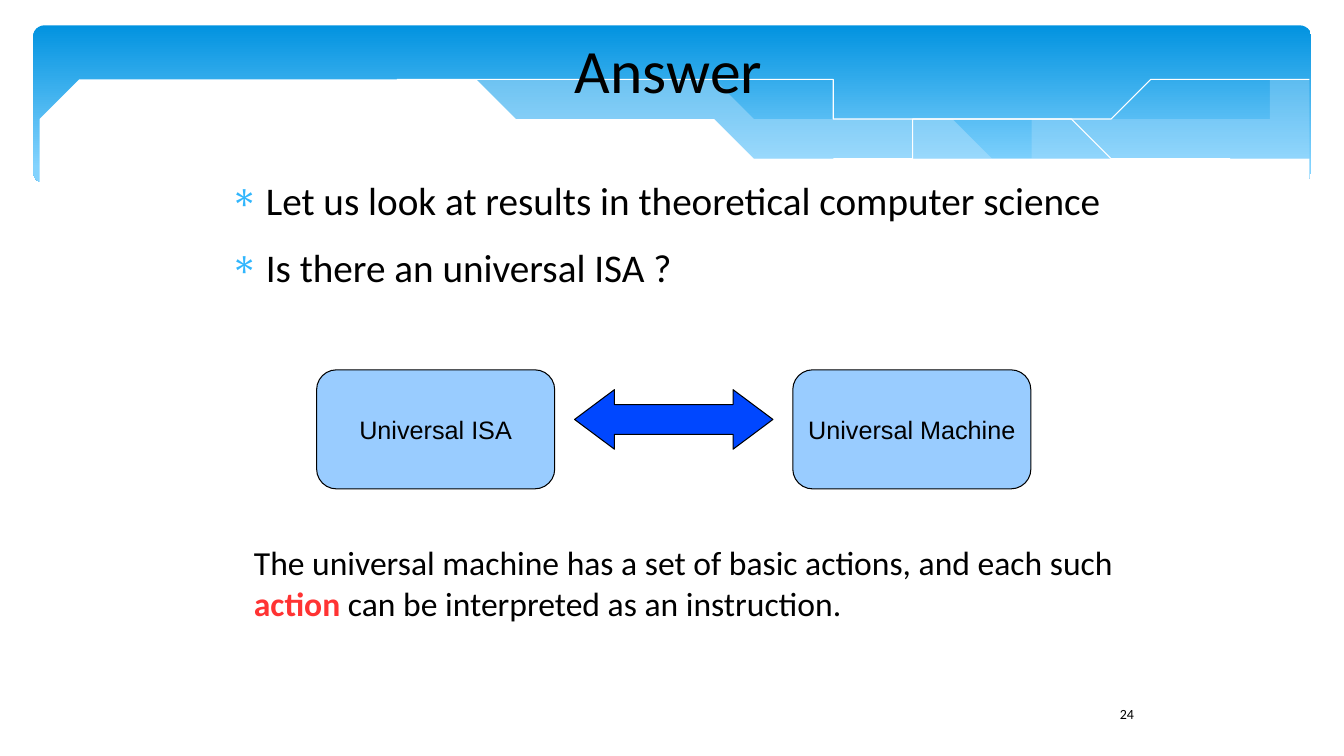
from dataclasses import dataclass

from lxml.etree import SubElement
from pptx import Presentation
from pptx.dml.color import RGBColor
from pptx.enum.shapes import MSO_SHAPE
from pptx.enum.text import MSO_ANCHOR, PP_ALIGN
from pptx.oxml.ns import qn
from pptx.util import Cm, Pt


@dataclass(frozen=True)
class Theme:
    """Colours, fonts and type sizes of the slide."""
    ink: str = "000000"
    paper: str = "FFFFFF"
    band_top: str = "0293E0"
    band_bottom: str = "83D3FE"
    haze: str = "C6E7FC"
    bullet: str = "31B6FD"
    node: str = "99CCFF"
    arrow: str = "0047FF"
    accent: str = "FF3333"
    text_font: str = "Calibri"
    node_font: str = "Arial"
    title_size: int = 44
    body_size: int = 28
    note_size: int = 24
    node_size: int = 18
    number_size: int = 10


THEME = Theme()

FRONT_WAVE = [
    (-0.05, 2.08), (0.53, 1.9), (1.73, 1.63), (3.18, 1.45), (5.13, 1.35), (6.93, 1.37),
    (9.07, 1.52), (11.51, 1.8), (14.3, 2.26), (17.09, 2.74), (19.58, 3.15), (21.79, 3.43),
    (23.77, 3.61), (25.5, 3.68), (27.03, 3.71), (28.8, 3.61), (30.33, 3.4), (31.32, 3.2),
    (32.26, 2.92)]
FRONT_FLOOR = [(32.26, 5.05), (-0.05, 5.05)]
RIGHT_HAZE_TOP = [
    (32.21, 1.75), (30.81, 1.93), (29.34, 2.16), (28.3, 2.36), (26.42, 2.69), (23.85, 3.1),
    (21.56, 3.43)]
RIGHT_HAZE_BOTTOM = [
    (21.56, 3.43), (23.04, 3.56), (24.79, 3.68), (26.37, 3.73), (27.76, 3.71), (29.54, 3.56),
    (31.09, 3.28), (32.21, 2.97)]
LEFT_HAZE_TOP = [
    (8.86, 1.55), (10.26, 1.42), (12.01, 1.4), (14.12, 1.47), (16.59, 1.7), (18.44, 1.96),
    (20.47, 2.31), (23.06, 2.77), (25.43, 3.15), (27.51, 3.4), (29.39, 3.61)]
LEFT_HAZE_BOTTOM = [
    (29.39, 3.61), (27.89, 3.73), (26.11, 3.76), (24.08, 3.66), (21.69, 3.45), (18.95, 3.07),
    (15.77, 2.57), (13.61, 2.16), (11.43, 1.83), (8.86, 1.55)]
FALLING_LINE = [
    (9.63, 1.65), (10.79, 1.5), (12.75, 1.45), (15.04, 1.47), (17.2, 1.6), (19.76, 1.85),
    (22.71, 2.26), (26.09, 2.82), (29.9, 3.58)]
RISING_LINE = [
    (19.94, 3.2), (22.71, 2.67), (25.45, 2.18), (28.5, 1.73), (30.45, 1.5), (32.18, 1.4)]


def smooth(anchors, steps=6):
    """Return points on a Catmull-Rom curve through the anchors."""
    padded = [anchors[0], *anchors, anchors[-1]]
    points = [anchors[0]]
    for a, b, c, d in zip(padded, padded[1:], padded[2:], padded[3:]):
        for step in range(1, steps + 1):
            t = step / steps
            points.append(tuple(
                (2 * q + (r - p) * t + (2 * p - 5 * q + 4 * r - s) * t ** 2
                 + (3 * q - p - 3 * r + s) * t ** 3) / 2
                for p, q, r, s in zip(a, b, c, d)))
    return points


def paint(shape, fill=None, line=None, opacity=100):
    """Set a shape's fill, hairline and opacity, without a shadow."""
    shape.shadow.inherit = False
    if fill:
        shape.fill.solid()
        shape.fill.fore_color.rgb = RGBColor.from_string(fill)
        if opacity < 100:
            colour = next(shape._element.spPr.iter(qn("a:srgbClr")))
            SubElement(colour, qn("a:alpha")).set("val", str(opacity * 1000))
    else:
        shape.fill.background()
    if line:
        shape.line.color.rgb = RGBColor.from_string(line)
        shape.line.width = Pt(0)
    else:
        shape.line.fill.background()


def write(para, text, size, color=THEME.ink, font=THEME.text_font, bold=False):
    """Add one formatted span to a paragraph."""
    span = para.add_run()
    span.text = text
    span.font.size = Pt(size)
    span.font.name = font
    span.font.bold = bold
    span.font.color.rgb = RGBColor.from_string(color)


def add_text_frame(page, box, inset=True, wrap=True):
    """Add a text box and return its frame."""
    frame = page.shapes.add_textbox(*map(Cm, box)).text_frame
    frame.word_wrap = wrap
    if not inset:
        frame.margin_left = frame.margin_right = frame.margin_top = frame.margin_bottom = 0
    return frame


def draw_wave(page, box, points, closed=True, **look):
    """Draw an outline whose points are relative to the box."""
    start, *rest = [(box[0] + x, box[1] + y) for x, y in points]
    builder = page.shapes.build_freeform(*start, scale=Cm(1))
    builder.add_line_segments(rest, close=closed)
    paint(builder.convert_to_shape(), **look)


def draw_band(page, box):
    """Draw the gradient band with its waves."""
    band = page.shapes.add_shape(MSO_SHAPE.ROUNDED_RECTANGLE, *map(Cm, box))
    band.adjustments[0] = 0.07
    paint(band)
    band.fill.gradient()
    band.fill.gradient_angle = 270
    stops = zip(band.fill.gradient_stops, (0, 0.9), (THEME.band_top, THEME.band_bottom))
    for stop, position, color in stops:
        stop.position = position
        stop.color.rgb = RGBColor.from_string(color)
    draw_wave(page, box, smooth(RIGHT_HAZE_TOP) + smooth(RIGHT_HAZE_BOTTOM),
              fill=THEME.haze, opacity=29)
    draw_wave(page, box, smooth(LEFT_HAZE_TOP) + smooth(LEFT_HAZE_BOTTOM),
              fill=THEME.haze, opacity=40)
    for anchors in (FALLING_LINE, RISING_LINE):
        draw_wave(page, box, smooth(anchors), closed=False, line=THEME.paper)
    draw_wave(page, box, smooth(FRONT_WAVE) + FRONT_FLOOR, fill=THEME.paper)


def place_title(page, box, text):
    """Move the title placeholder in front of the band and fill it."""
    title = page.shapes.title
    title._element.getparent().append(title._element)
    title.left, title.top, title.width, title.height = map(Cm, box)
    frame = title.text_frame
    frame.margin_left = frame.margin_right = frame.margin_top = frame.margin_bottom = 0
    frame.vertical_anchor = MSO_ANCHOR.MIDDLE
    para = frame.paragraphs[0]
    para.alignment = PP_ALIGN.CENTER
    write(para, text, THEME.title_size)


def add_bullets(page, box, items):
    """Add the bulleted list."""
    frame = add_text_frame(page, box, inset=False)
    for index, item in enumerate(items):
        para = frame.add_paragraph() if index else frame.paragraphs[0]
        properties = para._p.get_or_add_pPr()
        properties.set("marL", str(Cm(1.2)))
        properties.set("indent", str(Cm(-0.9)))
        color = SubElement(properties, qn("a:buClr"))
        SubElement(color, qn("a:srgbClr")).set("val", THEME.bullet)
        SubElement(properties, qn("a:buChar")).set("char", "∗")
        para.space_after = Pt(14.1)
        write(para, item, THEME.body_size)


def draw_equivalence(page, box, labels):
    """Draw two nodes at the ends of the box and a double arrow between them."""
    left, top, width, height = box
    node_width, arrow_width, arrow_height = 6, 5, 1.5
    for label, x in zip(labels, (left, left + width - node_width)):
        node = page.shapes.add_shape(
            MSO_SHAPE.ROUNDED_RECTANGLE, Cm(x), Cm(top), Cm(node_width), Cm(height))
        paint(node, fill=THEME.node, line=THEME.ink)
        node.text_frame.word_wrap = False
        node.text_frame.vertical_anchor = MSO_ANCHOR.MIDDLE
        para = node.text_frame.paragraphs[0]
        para.alignment = PP_ALIGN.CENTER
        write(para, label, THEME.node_size, font=THEME.node_font)
    arrow = page.shapes.add_shape(
        MSO_SHAPE.LEFT_RIGHT_ARROW, Cm(left + (width - arrow_width) / 2), Cm(top + 0.5),
        Cm(arrow_width), Cm(arrow_height))
    arrow.adjustments[0] = 0.5
    arrow.adjustments[1] = 0.67
    paint(arrow, fill=THEME.arrow, line=THEME.ink)


def add_note(page, box):
    """Add the closing remark with its highlighted word."""
    frame = add_text_frame(page, box, wrap=False)
    write(frame.paragraphs[0],
          "The universal machine has a set of basic actions, and each such", THEME.note_size)
    para = frame.add_paragraph()
    write(para, "action", THEME.note_size, color=THEME.accent, bold=True)
    write(para, " can be interpreted as an instruction.", THEME.note_size)


def add_page_number(page, box, number):
    """Add the page number."""
    write(add_text_frame(page, box).paragraphs[0], number, THEME.number_size)


def main():
    """Build the slide and save the deck."""
    deck = Presentation()
    deck.slide_width, deck.slide_height = Cm(33.87), Cm(19.05)
    page = deck.slides.add_slide(deck.slide_layouts[5])
    draw_band(page, (0.84, 0.64, 32.2, 3.97))
    place_title(page, (6.55, 0.43, 20.6, 2.6), "Answer")
    add_bullets(page, (5.5, 4.45, 23.3, 4.06), [
        "Let us look at results in theoretical computer science",
        "Is there an universal ISA ?"])
    draw_equivalence(page, (7.98, 9.32, 18, 3), ["Universal ISA", "Universal Machine"])
    add_note(page, (6.15, 13.54, 22.38, 2.34))
    add_page_number(page, (27.97, 17.65, 1.55, 1.02), "24")
    deck.save("out.pptx")


if __name__ == "__main__":
    main()
